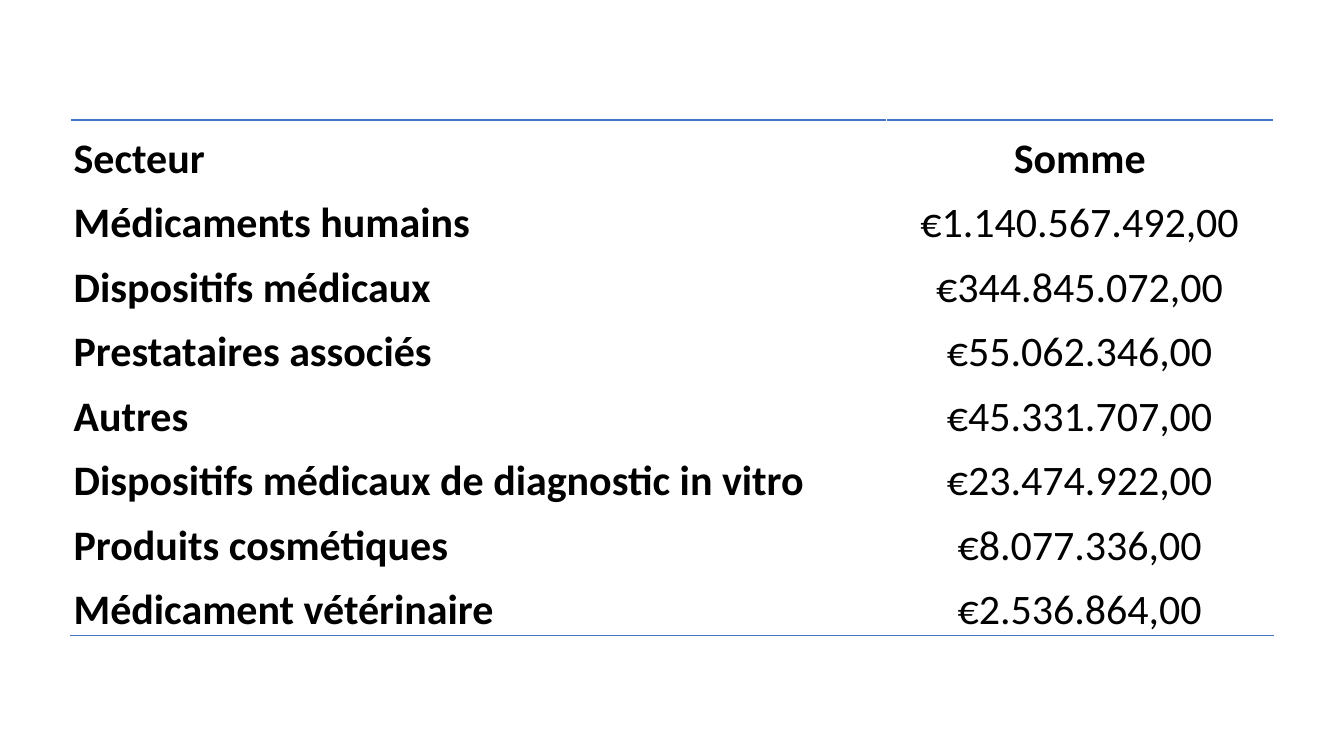
from dataclasses import dataclass

from lxml import etree
from pptx import Presentation, util as u
from pptx.dml.color import RGBColor
from pptx.enum import text
from pptx.oxml import ns
from pptx.table import _Cell

PX = 9144  # EMU per px, 100 px to the inch
BLACK = RGBColor(0x00, 0x00, 0x00)
RULE_BLUE = RGBColor(0x44, 0x72, 0xC4)
FONT = "Calibri"
FONT_SIZE = u.Pt(30)
TABLE_LEFT, TABLE_TOP = 70, 119
COLUMN_WIDTHS = (809, 384)
ROW_HEIGHT = 64
CELL_MARGIN = 3


@dataclass(frozen=True)
class SectorRow:
    sector: str
    amount: str
    header: bool = False


SECTORS = (
    SectorRow("Secteur", "Somme", header=True),
    SectorRow("Médicaments humains", "€1.140.567.492,00"),
    SectorRow("Dispositifs médicaux", "€344.845.072,00"),
    SectorRow("Prestataires associés", "€55.062.346,00"),
    SectorRow("Autres", "€45.331.707,00"),
    SectorRow("Dispositifs médicaux de diagnostic in vitro", "€23.474.922,00"),
    SectorRow("Produits cosmétiques", "€8.077.336,00"),
    SectorRow("Médicament vétérinaire", "€2.536.864,00"),
)


def px(length: int) -> u.Emu:
    return u.Emu(length * PX)


def fill_cell(cell: _Cell, wording: str, bold: bool, align: text.PP_ALIGN) -> None:
    cell.fill.background()
    cell.vertical_anchor = text.MSO_ANCHOR.BOTTOM
    cell.margin_left = cell.margin_right = cell.margin_top = px(CELL_MARGIN)
    cell.margin_bottom = 0
    cell.text_frame.text = wording
    paragraph = cell.text_frame.paragraphs[0]
    paragraph.alignment = align
    font = paragraph.runs[0].font
    font.name, font.size, font.bold = FONT, FONT_SIZE, bold
    font.color.rgb = BLACK


def rule_cell(cell: _Cell, edge: str) -> None:
    """Draw a thin rule on one edge: lnT for the top, lnB for the bottom."""
    properties = cell._tc.get_or_add_tcPr()
    rule = etree.Element(ns.qn(f"a:{edge}"), w=str(u.Pt(1)))
    paint = etree.SubElement(rule, ns.qn("a:solidFill"))
    etree.SubElement(paint, ns.qn("a:srgbClr"), val=str(RULE_BLUE))
    properties.insert(0, rule)


def main() -> None:
    deck = Presentation()
    deck.slide_width, deck.slide_height = px(1333), px(750)
    slide = deck.slides.add_slide(deck.slide_layouts[6])

    # Table of amounts by sector
    amounts = slide.shapes.add_table(
        len(SECTORS), len(COLUMN_WIDTHS), px(TABLE_LEFT), px(TABLE_TOP),
        px(sum(COLUMN_WIDTHS)), px(ROW_HEIGHT * len(SECTORS)),
    ).table
    amounts.first_row = amounts.horz_banding = False
    for column, width in zip(amounts.columns, COLUMN_WIDTHS):
        column.width = px(width)

    # Sector names and sums
    for index, row in enumerate(SECTORS):
        amounts.rows[index].height = px(ROW_HEIGHT)
        fill_cell(amounts.cell(index, 0), row.sector, True, text.PP_ALIGN.LEFT)
        fill_cell(amounts.cell(index, 1), row.amount, row.header, text.PP_ALIGN.CENTER)

    # Rules above the header and below the last sector
    for column in range(len(COLUMN_WIDTHS)):
        rule_cell(amounts.cell(0, column), "lnT")
        rule_cell(amounts.cell(len(SECTORS) - 1, column), "lnB")

    deck.save("out.pptx")


if __name__ == "__main__":
    main()
